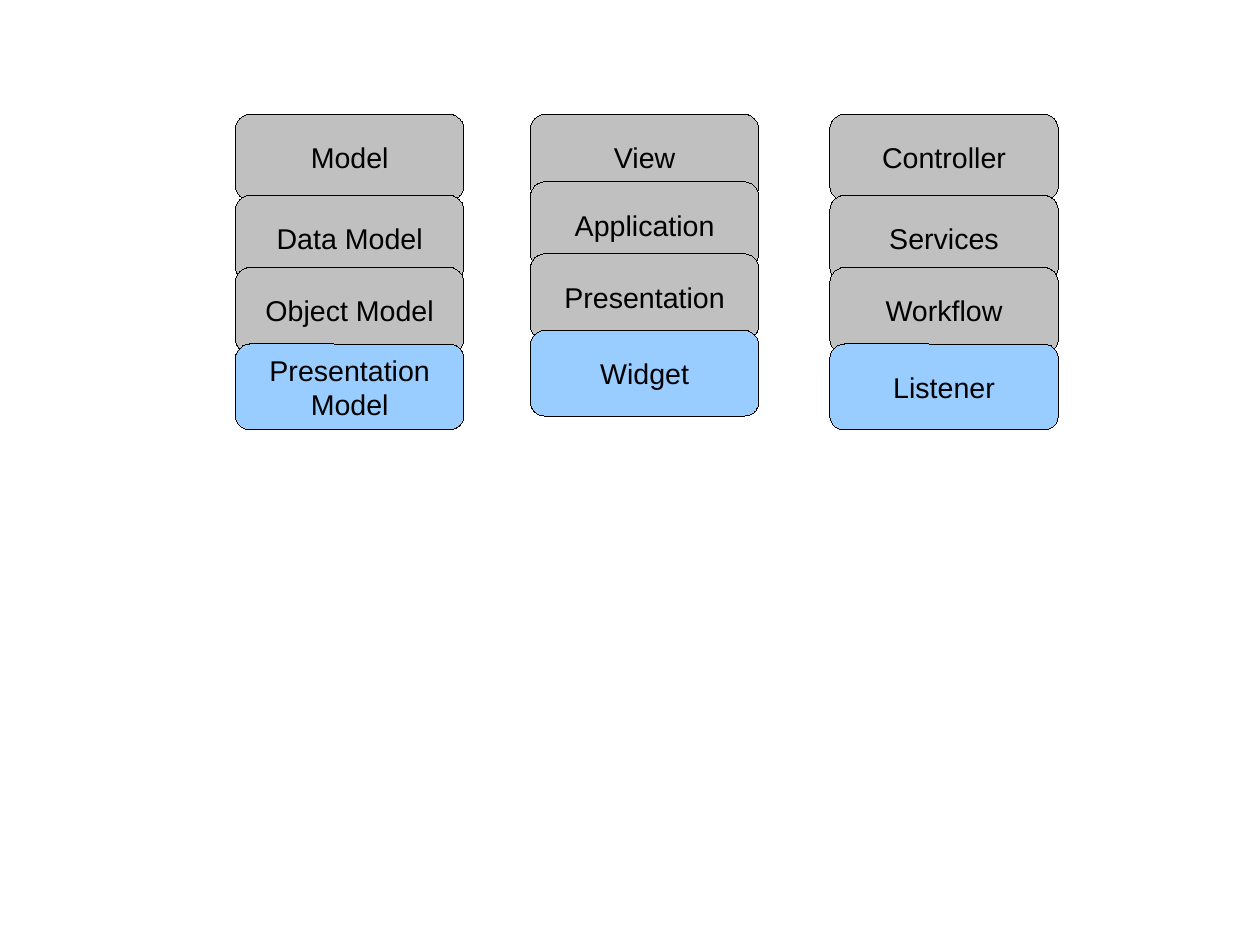
from pptx import Presentation
from pptx.dml.color import RGBColor
from pptx.enum.shapes import MSO_SHAPE
from pptx.enum.text import MSO_ANCHOR, PP_ALIGN
from pptx.util import Inches, Pt

ROUNDED = MSO_SHAPE.ROUNDED_RECTANGLE
MIDDLE = MSO_ANCHOR.MIDDLE
CENTER = PP_ALIGN.CENTER

COLORS = {"layer": "C0C0C0", "front": "99CCFF", "ink": "000000"}
CM_PER_INCH = 2.54
BOX_WIDTH, BOX_HEIGHT = 2, 0.75
HAIRLINE = Pt(0.01)

# Left edges of the stacks; the view stack sits closer together
STACK_LEFTS = [2.06, 4.64, 7.26]
OUTER_TOPS = [1, 1.71, 2.34, 3.01]
VIEW_TOPS = [1, 1.59, 2.22, 2.89]
STACK_TOPS = [OUTER_TOPS, VIEW_TOPS, OUTER_TOPS]

# Labels of each row, from back to front
ROWS = [
    ("layer", ["Model", "View", "Controller"]),
    ("layer", ["Data Model", "Application", "Services"]),
    ("layer", ["Object Model", "Presentation", "Workflow"]),
    ("front", ["Presentation\nModel", "Widget", "Listener"]),
]

# Slide of 28 by 21 cm
presentation = Presentation()
presentation.slide_width = Inches(28 / CM_PER_INCH)
presentation.slide_height = Inches(21 / CM_PER_INCH)
slide = presentation.slides.add_slide(presentation.slide_layouts[6])


def write_text(shape, text, size=18, font="Arial", color="ink", align=CENTER):
    frame = shape.text_frame
    frame.word_wrap = True
    frame.vertical_anchor = MIDDLE
    frame.text = text
    for paragraph in frame.paragraphs:
        paragraph.alignment = align
        for run in paragraph.runs:
            run.font.size = Pt(size)
            run.font.name = font
            run.font.color.rgb = RGBColor.from_string(COLORS[color])


# Overlapping boxes
for row, (fill, labels) in enumerate(ROWS):
    for left, tops, label in zip(STACK_LEFTS, STACK_TOPS, labels):
        box = slide.shapes.add_shape(
            ROUNDED, Inches(left), Inches(tops[row]), Inches(BOX_WIDTH), Inches(BOX_HEIGHT)
        )
        box.adjustments[0] = 0.17
        box.shadow.inherit = False
        box.fill.solid()
        box.fill.fore_color.rgb = RGBColor.from_string(COLORS[fill])
        box.line.color.rgb = RGBColor.from_string(COLORS["ink"])
        box.line.width = HAIRLINE
        write_text(box, label)

presentation.save("out.pptx")
